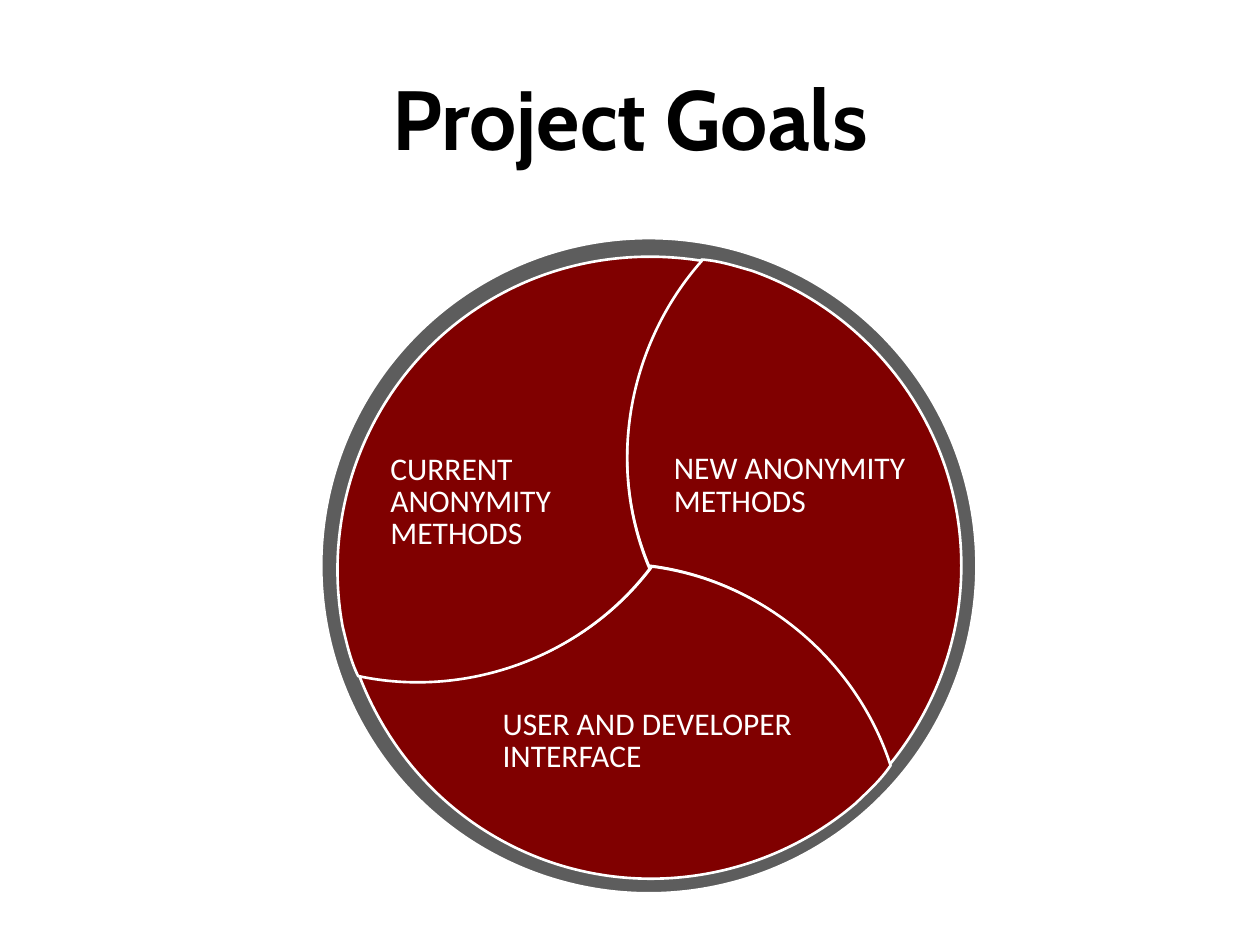
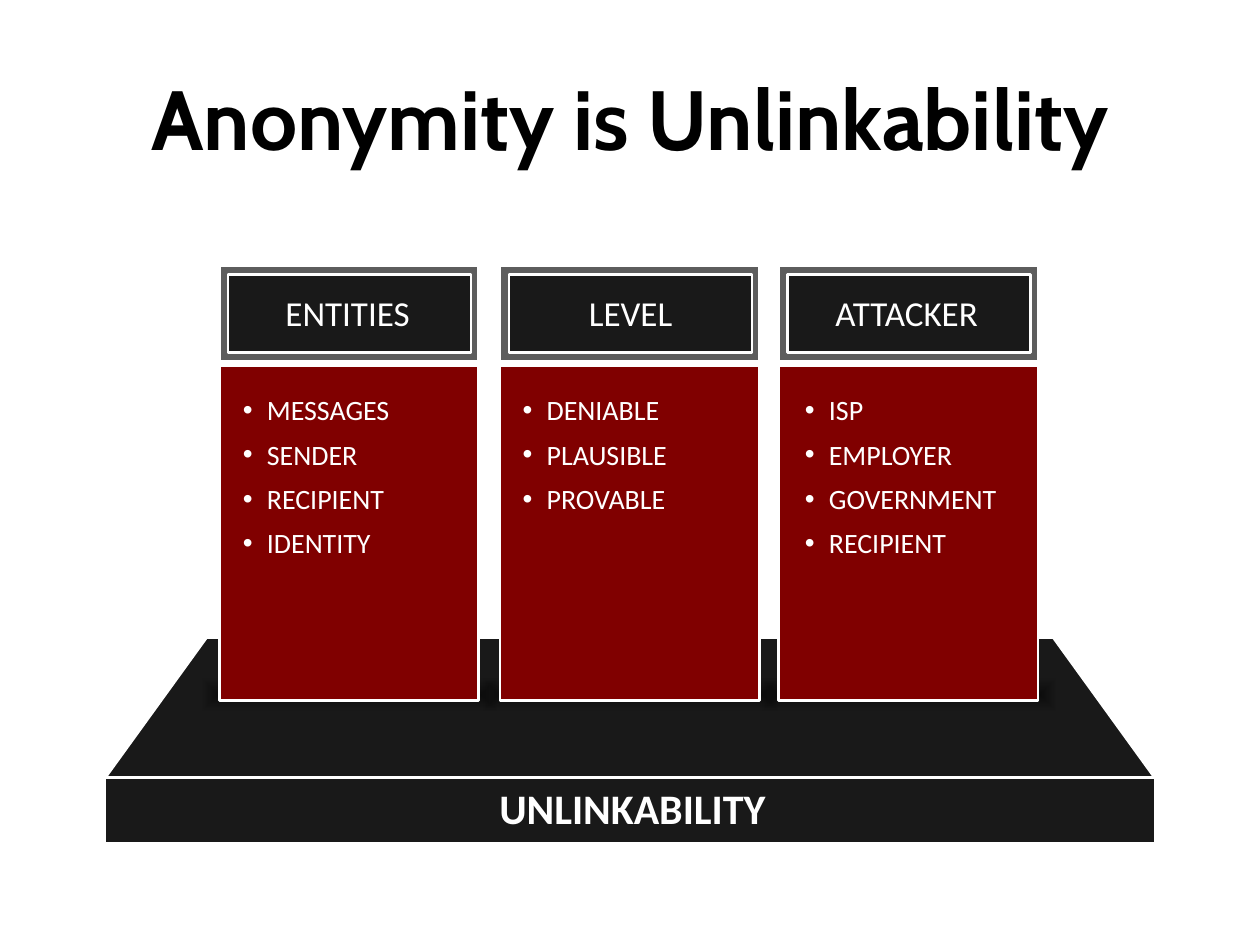
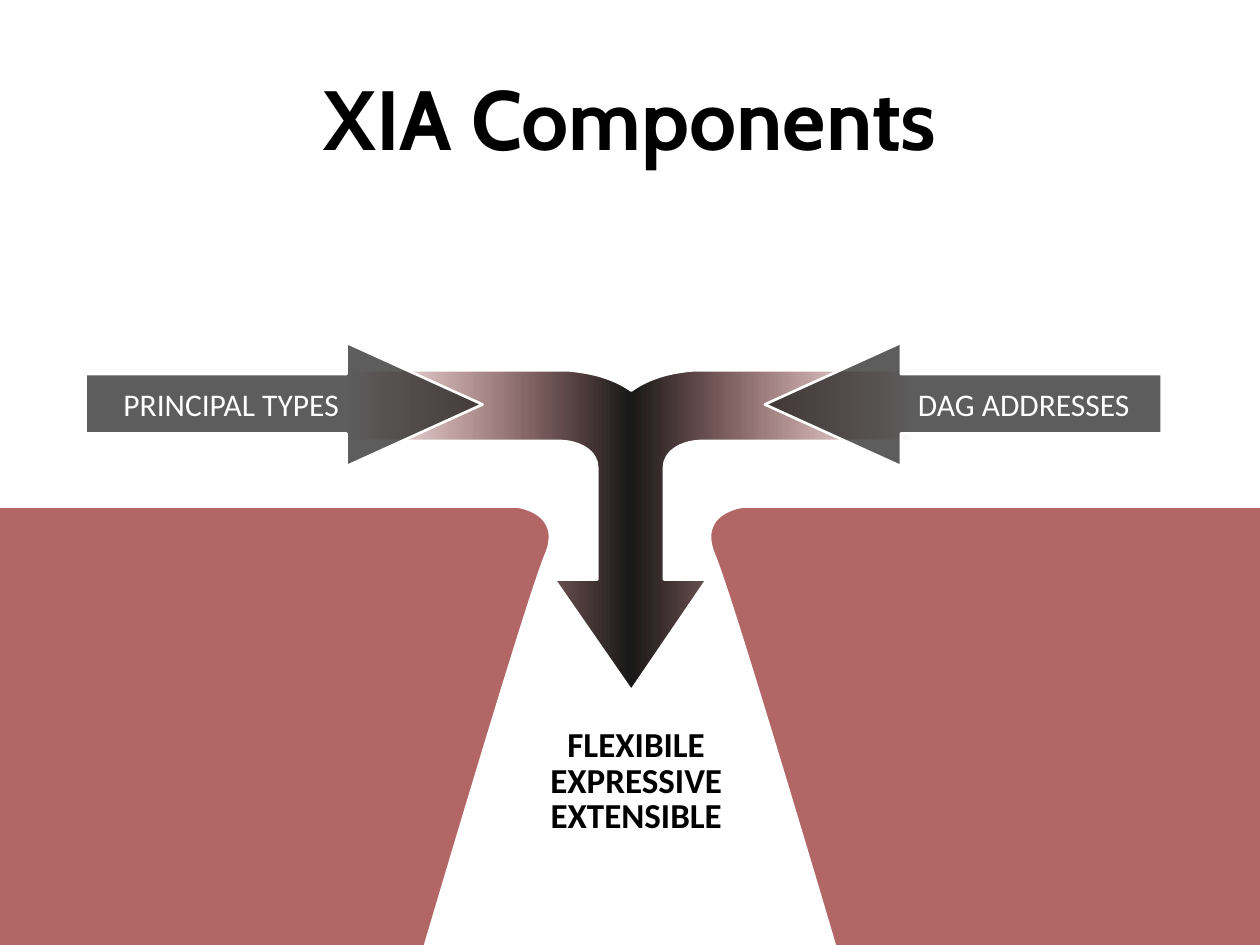
import math

import pptx
import pptx.dml.color
import pptx.enum.shapes
import pptx.enum.text
import pptx.oxml
import pptx.oxml.ns
import pptx.util

Inches = pptx.util.Inches
Pt = pptx.util.Pt
qn = pptx.oxml.ns.qn
Shapes = pptx.enum.shapes.MSO_SHAPE
Anchor = pptx.enum.text.MSO_ANCHOR
Align = pptx.enum.text.PP_ALIGN
AutoSize = pptx.enum.text.MSO_AUTO_SIZE

NAMESPACE = pptx.oxml.ns.nsdecls("a")
BLACK, WHITE, DARK, RED = "000000", "FFFFFF", "191919", "800000"
TITLE = {"name": "Cabin", "size": Pt(48), "bold": True}


def colour(value):
    return pptx.dml.color.RGBColor.from_string(value)


def body(size, bold=False):
    return {"name": "Calibri", "size": Pt(size), "bold": bold}


def add_text(slide, area, paragraphs, font, color=WHITE, align=Align.CENTER,
             anchor=Anchor.TOP, spacing=1.0, gap=0, bullet=False, wrap=True,
             grow=True):
    box = slide.shapes.add_textbox(*map(Inches, area))
    frame = box.text_frame
    frame.word_wrap = wrap
    frame.auto_size = AutoSize.SHAPE_TO_FIT_TEXT if grow else AutoSize.NONE
    frame.vertical_anchor = anchor
    for index, text in enumerate(paragraphs):
        para = frame.paragraphs[0] if index == 0 else frame.add_paragraph()
        layout = {"alignment": align, "line_spacing": spacing,
                  "space_before": Pt(gap if index else 0)}
        for name, value in layout.items():
            setattr(para, name, value)
        if bullet:
            add_bullet(para)
        for number, line in enumerate(text.split("\n")):
            if number:
                para.add_line_break()
            span = para.add_run()
            span.text = line
            for name, value in font.items():
                setattr(span.font, name, value)
            span.font.color.rgb = colour(color)


def add_bullet(para):
    properties = para._p.get_or_add_pPr()
    properties.set("marL", str(Inches(0.19)))
    properties.set("indent", str(Inches(-0.19)))
    for mark in ('buFont {} typeface="Arial"', 'buChar {} char="•"'):
        properties.append(
            pptx.oxml.parse_xml(f"<a:{mark.format(NAMESPACE)}/>"))


def add_title(slide, text):
    add_text(slide, (0.5, 0.3, 9, 1.25), [text], TITLE, BLACK,
             anchor=Anchor.MIDDLE, grow=False)


def style(shape, fill, opacity=100, outlined=True):
    shape.shadow.inherit = False
    shape.fill.solid()
    shape.fill.fore_color.rgb = colour(fill)
    if opacity < 100:
        value = shape.element.spPr.find(
            qn("a:solidFill") + "/" + qn("a:srgbClr"))
        value.append(pptx.oxml.parse_xml(
            f'<a:alpha {NAMESPACE} val="{opacity * 1000}"/>'))
    if outlined:
        shape.line.color.rgb = colour(WHITE)
        shape.line.width = Pt(1.5)
    else:
        shape.line.fill.background()


def set_gradient(shape, stops, direction):
    marks = "".join(
        f'<a:gs pos="{place * 1000}"><a:srgbClr val="{value}">'
        f'<a:alpha val="{opacity * 1000}"/></a:srgbClr></a:gs>'
        for place, value, opacity in stops)
    gradient = pptx.oxml.parse_xml(
        f'<a:gradFill {NAMESPACE} rotWithShape="1">'
        f'<a:gsLst>{marks}</a:gsLst>{direction}</a:gradFill>')
    properties = shape.element.spPr
    properties.replace(properties.find(qn("a:solidFill")), gradient)


def add_preset(slide, kind, area, fill, **options):
    shape = slide.shapes.add_shape(kind, *map(Inches, area))
    style(shape, fill, **options)
    return shape


def add_outline(slide, segments, fill, **options):
    points = [(Inches(x), Inches(y)) for segment in segments
              for x, y in zip(segment[::2], segment[1::2])]
    builder = slide.shapes.build_freeform(*points[0])
    builder.add_line_segments(points[1:], close=True)
    shape = builder.convert_to_shape()
    bend(shape, segments)
    style(shape, fill, **options)
    return shape


def bend(shape, segments):
    lines = iter(list(shape.element.iter(qn("a:lnTo"))))
    for segment in segments[1:]:
        steps = [next(lines) for _ in range(len(segment) // 2)]
        if len(steps) == 3:
            curve = pptx.oxml.parse_xml(f"<a:cubicBezTo {NAMESPACE}/>")
            steps[0].addprevious(curve)
            for step in steps:
                curve.append(step[0])
                step.getparent().remove(step)


def turn_about(shape, center, degrees):
    cos, sin = math.cos(math.radians(degrees)), math.sin(math.radians(degrees))
    cx, cy = map(Inches, center)
    dx = shape.left + shape.width / 2 - cx
    dy = shape.top + shape.height / 2 - cy
    shape.left = round(cx + dx * cos - dy * sin - shape.width / 2)
    shape.top = round(cy + dx * sin + dy * cos - shape.height / 2)
    shape.rotation = degrees


def mirror(segments, axis):
    return [tuple(value if index % 2 else 2 * axis - value
                  for index, value in enumerate(segment))
            for segment in segments]


def build_goals(slide):
    add_title(slide, "Project Goals")
    add_preset(slide, Shapes.OVAL, (2.55, 1.89, 5.2, 5.2), DARK, opacity=70)
    petal = [(7.06, 6.07), (6.79, 5.26, 6.06, 4.6, 5.15, 4.49),
             (4.8, 3.65, 5, 2.69, 5.57, 2.06),
             (5.71, 2.07, 5.83, 2.11, 5.97, 2.15),
             (6.93, 2.49, 7.63, 3.41, 7.63, 4.49),
             (7.63, 5.09, 7.41, 5.64, 7.06, 6.07)]
    for degrees in (0, 120, 240):
        turn_about(add_outline(slide, petal, RED), (5.16, 4.5), degrees)
    goals = [((3, 3.55, 1.88, 0.88), "CURRENT\nANONYMITY\nMETHODS"),
             ((5.25, 3.55, 2.2, 0.62), "NEW ANONYMITY\nMETHODS"),
             ((3.89, 5.58, 2.71, 0.62), "USER AND DEVELOPER\nINTERFACE")]
    for area, goal in goals:
        add_text(slide, area, [goal], body(18), align=Align.LEFT,
                 anchor=Anchor.MIDDLE, spacing=0.85, wrap=False)


def build_unlinkability(slide):
    add_title(slide, "Anonymity is Unlinkability")
    add_outline(slide, [(9.17, 6.18), (0.83, 6.18), (1.64, 5.06), (8.36, 5.06)],
                DARK)
    add_preset(slide, Shapes.RECTANGLE, (0.83, 6.17, 8.34, 0.52), DARK)
    add_text(slide, (3.27, 6.21, 3.5, 0.47), ["UNLINKABILITY"], body(24, True),
             spacing=0.9)
    columns = [
        (1.74, 1.96, 1.6, "ENTITIES", 1.83,
         ["MESSAGES", "SENDER", "RECIPIENT", "IDENTITY"]),
        (3.97, 4.2, 1.61, "LEVEL", 4.05,
         ["DENIABLE", "PLAUSIBLE", "PROVABLE"]),
        (6.18, 6.29, 1.81, "ATTACKER", 6.29,
         ["ISP", "EMPLOYER", "GOVERNMENT", "RECIPIENT"])]
    for left, *_ in columns:
        shade = add_preset(slide, Shapes.RECTANGLE,
                           (left - 0.13, 5.39, 2.33, 0.25), BLACK,
                           outlined=False)
        set_gradient(shade, [(0, BLACK, 51), (100, BLACK, 0)],
                     '<a:path path="shape"><a:fillToRect l="50000" t="50000" '
                     'r="50000" b="50000"/></a:path>')
    for left, heading_left, heading_width, heading, list_left, items in columns:
        add_preset(slide, Shapes.RECTANGLE, (left, 2.11, 2.06, 0.76), DARK,
                   opacity=70)
        add_preset(slide, Shapes.RECTANGLE, (left + 0.07, 2.18, 1.93, 0.62),
                   DARK)
        add_preset(slide, Shapes.RECTANGLE, (left, 2.9, 2.06, 2.66), RED)
        add_text(slide, (heading_left, 2.3, heading_width, 0.41), [heading],
                 body(20), spacing=0.9)
        add_text(slide, (list_left, 3.1, 1.99, 0.37 * len(items)), items,
                 body(16), align=Align.LEFT, spacing=0.9, gap=8, bullet=True)


def build_components(slide):
    merger = add_outline(slide, [
        (5.58, 3.5), (7.25, 3.5), (7.25, 2.94), (5.49, 2.94),
        (5.27, 2.96, 5.12, 3.02, 5.01, 3.1),
        (4.9, 3.02, 4.74, 2.96, 4.52, 2.94), (2.76, 2.94), (2.76, 3.5),
        (4.43, 3.5), (4.61, 3.5, 4.74, 3.59, 4.74, 3.71), (4.74, 4.6),
        (4.4, 4.6), (5.01, 5.48), (5.61, 4.6), (5.27, 4.6), (5.27, 3.71),
        (5.27, 3.59, 5.4, 3.5, 5.58, 3.5)], DARK)
    set_gradient(merger, [(0, RED, 0), (50, DARK, 100), (100, RED, 0)],
                 '<a:lin ang="0" scaled="0"/>')
    arrow = [(0.68, 3.44), (2.75, 3.44), (2.75, 3.7), (3.83, 3.21),
             (2.75, 2.72), (2.75, 2.97), (0.68, 2.97)]
    for segments in (arrow, mirror(arrow, 4.95)):
        add_outline(slide, segments, DARK, opacity=70)
    add_title(slide, "XIA Components")
    bank = [(-0.06, 4.02), (4.1, 4.02), (4.1, 4.02, 4.48, 4.06, 4.33, 4.41),
            (4.18, 4.77, 3.36, 7.55, 3.36, 7.55), (-0.06, 7.55)]
    for segments in (bank, mirror(bank, 5)):
        add_outline(slide, segments, RED, opacity=60)
    add_text(slide, (3.76, 5.73, 2.58, 0.96),
             ["FLEXIBILE", "EXPRESSIVE", "EXTENSIBLE"], body(20, True), BLACK,
             anchor=Anchor.MIDDLE, spacing=0.85)
    add_text(slide, (0.52, 3.01, 2.63, 0.4), ["PRINCIPAL TYPES"], body(18))
    add_text(slide, (6.89, 3.01, 2.47, 0.4), ["DAG ADDRESSES"], body(18))


def main():
    deck = pptx.Presentation()
    deck.slide_width, deck.slide_height = Inches(10), Inches(7.5)
    for build in (build_goals, build_unlinkability, build_components):
        build(deck.slides.add_slide(deck.slide_layouts[6]))
    deck.save("out.pptx")


main()
